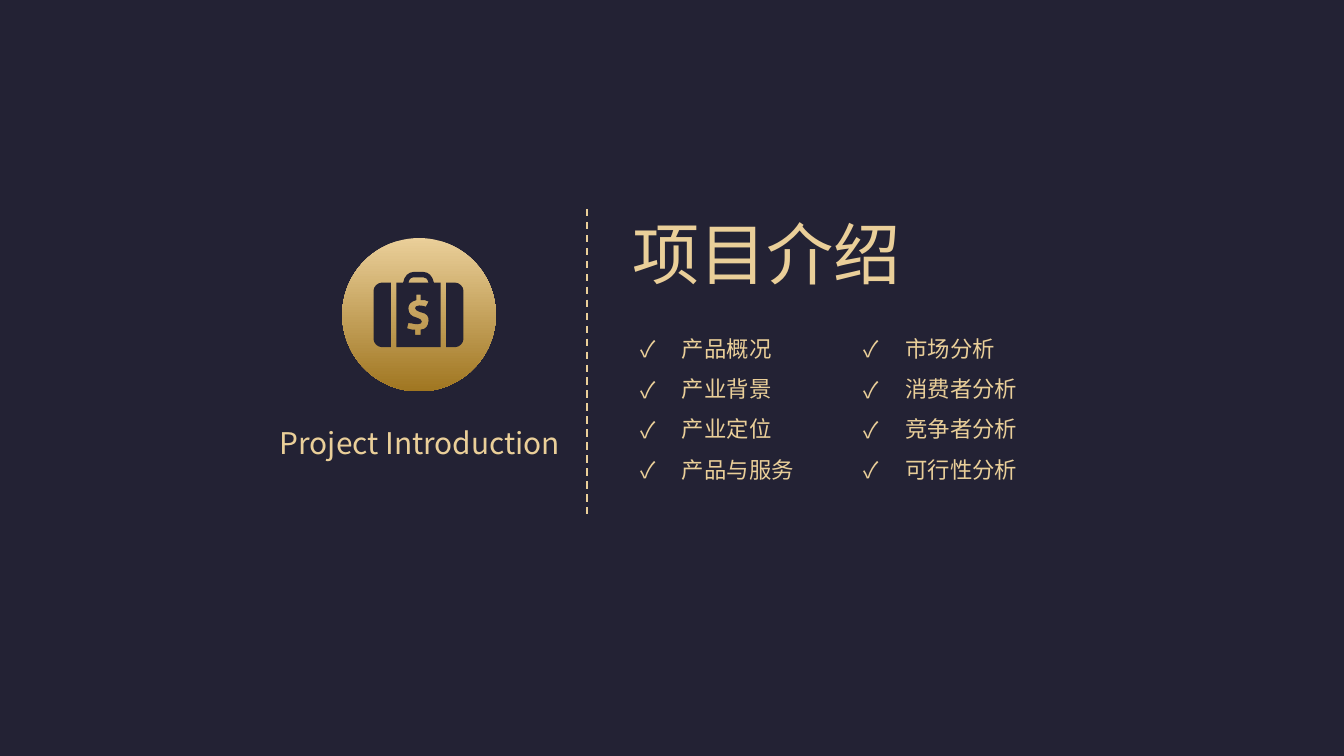
from lxml import etree
from pptx import Presentation
from pptx import util as u
from pptx.dml.color import RGBColor
from pptx.enum import dml, shapes, text
from pptx.oxml.ns import qn

# Content
TITLE = "项目介绍"
SUBTITLE = "Project Introduction"
TOPIC_COLUMNS = [
    ["产品概况", "产业背景", "产业定位", "产品与服务"],
    ["市场分析", "消费者分析", "竞争者分析", "可行性分析"],
]

COLORS = {"night": "232234", "gold": "EACF99", "bronze": "A07621"}
FONT = "Noto Sans CJK SC"

# Suitcase outlines on a 67-wide grid: pairs are corners,
# six numbers are a Bézier curve (two controls and an end point)
CASE_WIDTH = 67
CASE_BODY = [(45, 8), (44, 3, 41, 0, 37, 0), (30, 0), (26, 0, 23, 3, 22, 8),
             (17, 8), (17, 56), (50, 56), (50, 8)]
HANDLE_HOLE = [(30, 4), (37, 4), (39, 4, 40, 5, 41, 8), (26, 8),
               (27, 4, 29, 4, 30, 4)]
LEFT_END = [(13, 8), (6, 8), (3, 8, 0, 11, 0, 14), (0, 50),
            (0, 53, 3, 56, 6, 56), (13, 56)]
RIGHT_END = [tuple(CASE_WIDTH - value if i % 2 == 0 else value
                   for i, value in enumerate(step)) for step in LEFT_END]
DOLLAR = [(36, 37), (36, 36, 35, 35, 32, 34), (28, 33, 26, 31, 26, 27),
          (26, 24, 28, 22, 32, 21), (32, 17), (35, 17), (35, 21),
          (38, 21, 39, 21, 41, 22), (39, 26), (39, 26, 37, 25, 34, 25),
          (32, 25, 31, 26, 31, 27), (31, 28, 32, 29, 35, 30),
          (40, 31, 41, 33, 41, 36), (41, 40, 39, 43, 35, 43), (35, 47),
          (31, 47), (31, 43), (29, 43, 27, 43, 25, 42), (26, 38),
          (28, 38, 30, 39, 33, 39), (35, 39, 36, 38, 36, 37)]
SUITCASE = [CASE_BODY, HANDLE_HOLE, LEFT_END, RIGHT_END, DOLLAR]


def color(name):
    return RGBColor.from_string(COLORS[name])


def gold_gradient(fill):
    fill.gradient()
    fill.gradient_angle = 270
    for stop, name, position in zip(fill.gradient_stops, ("gold", "bronze"), (0, 1)):
        stop.color.rgb = color(name)
        stop.position = position


def add_text(slide, box, lines, size, wrap=False):
    shape = slide.shapes.add_textbox(*map(u.Cm, box))
    frame = shape.text_frame
    frame.text = "\n".join(lines)
    frame.word_wrap = wrap
    frame.auto_size = text.MSO_AUTO_SIZE.SHAPE_TO_FIT_TEXT
    for paragraph in frame.paragraphs:
        for run in paragraph.runs:
            run.font.size = u.Pt(size)
            gold_gradient(run.font.fill)
            run.font.name = FONT
            etree.SubElement(run.font._element, qn("a:ea"), typeface=FONT)
    return frame


def add_check_bullet(paragraph):
    properties = paragraph._p.get_or_add_pPr()
    indent = u.Cm(0.79)
    properties.set("marL", str(indent))
    properties.set("indent", str(-indent))
    bullet_color = etree.SubElement(properties, qn("a:buClr"))
    etree.SubElement(bullet_color, qn("a:srgbClr"), val=COLORS["gold"])
    etree.SubElement(properties, qn("a:buFont"), typeface=FONT)
    etree.SubElement(properties, qn("a:buChar"), char="✓")


def bend_segments(shape, steps):
    """Turn the straight segments of curved steps into Bézier segments."""
    segments = list(shape._element.iter(qn("a:lnTo")))
    for segment, step in zip(segments, steps):
        if len(step) == 6:
            curve = etree.Element(qn("a:cubicBezTo"))
            for x, y in zip(step[::2], step[1::2]):
                etree.SubElement(curve, qn("a:pt"), x=str(x), y=str(y))
            segment.getparent().replace(segment, curve)


def add_suitcase(group, left, top, width):
    builder = group.shapes.build_freeform(*SUITCASE[0][0],
                                          scale=u.Cm(width) / CASE_WIDTH)
    for number, (start, *steps) in enumerate(SUITCASE):
        if number:
            builder.move_to(*start)
        builder.add_line_segments([step[-2:] for step in steps], close=True)
    shape = builder.convert_to_shape(u.Cm(left), u.Cm(top))
    bend_segments(shape, [step for outline in SUITCASE for step in outline[1:]])
    shape.shadow.inherit = False
    shape.fill.solid()
    shape.fill.fore_color.rgb = color("night")
    shape.line.fill.background()


def main():
    presentation = Presentation()
    presentation.slide_width, presentation.slide_height = u.Cm(25.4), u.Cm(14.29)
    slide = presentation.slides.add_slide(presentation.slide_layouts[6])
    slide.background.fill.solid()
    slide.background.fill.fore_color.rgb = color("night")

    # Title
    add_text(slide, (11.7, 3.89, 5.64, 1.8), [TITLE], 36)

    # Dashed divider
    divider = slide.shapes.add_connector(
        shapes.MSO_CONNECTOR.STRAIGHT, *map(u.Cm, (11.1, 3.95, 11.1, 9.75)))
    divider.line.color.rgb = color("gold")
    divider.line.width = u.Pt(1)
    divider.line.dash_style = dml.MSO_LINE.DASH
    etree.SubElement(divider._element.spPr, qn("a:effectLst"))

    # Subtitle
    frame = add_text(slide, (5.11, 7.92, 5.82, 0.86), [SUBTITLE], 16)
    frame.margin_left = frame.margin_right = u.Cm(0.18)
    frame.margin_top = frame.margin_bottom = u.Cm(0.1)

    # Topic columns
    for column, topics in enumerate(TOPIC_COLUMNS):
        frame = add_text(slide, (11.85 + column * 4.22, 5.95, 4.04, 3.33),
                         topics, 12, wrap=True)
        for paragraph in frame.paragraphs:
            add_check_bullet(paragraph)
            paragraph.line_spacing = 1.5

    # Suitcase badge
    badge = slide.shapes.add_group_shape()
    disc = badge.shapes.add_shape(shapes.MSO_SHAPE.OVAL,
                                  *map(u.Cm, (6.47, 4.5, 2.9, 2.9)))
    disc.shadow.inherit = False
    gold_gradient(disc.fill)
    disc.line.fill.background()
    add_suitcase(badge, 7.06, 5.14, 1.7)

    presentation.save("out.pptx")


if __name__ == "__main__":
    main()
